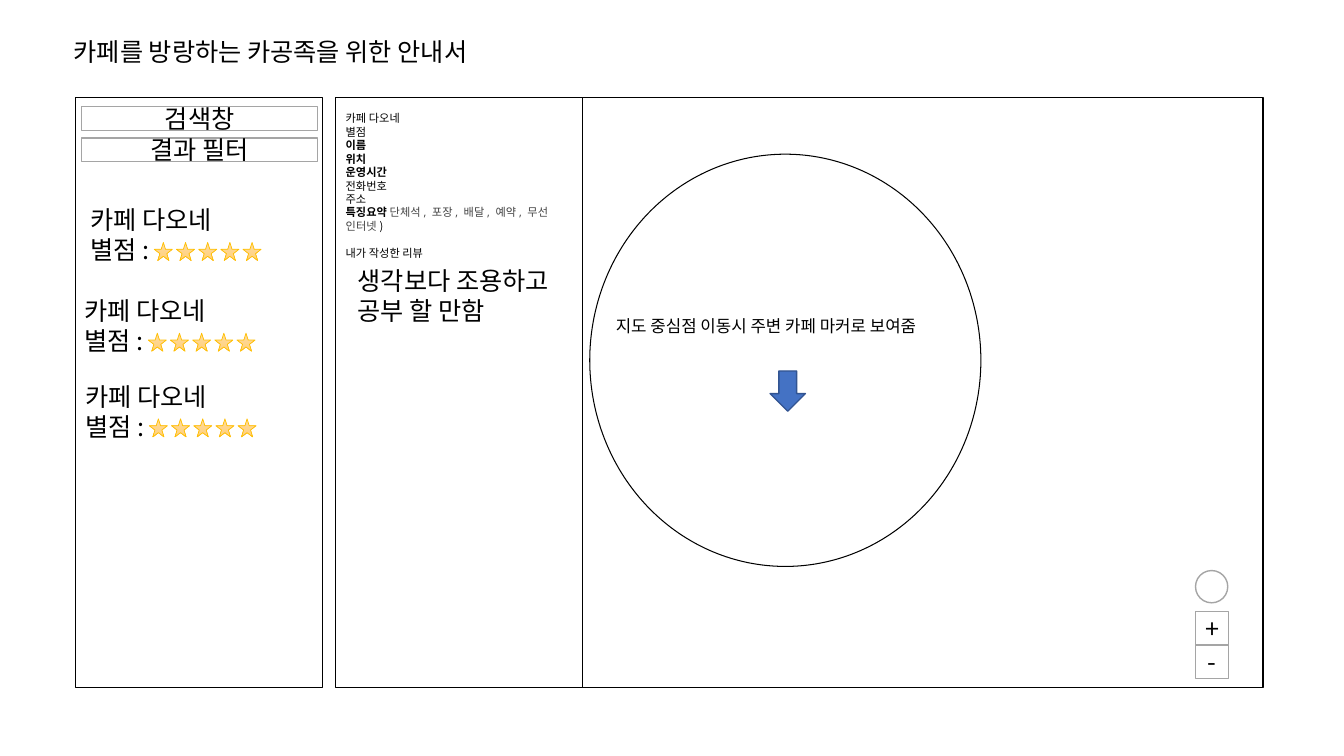
from pptx import Presentation
from pptx.dml.color import RGBColor
from pptx.enum.shapes import MSO_SHAPE
from pptx.enum.text import MSO_ANCHOR, MSO_AUTO_SIZE, PP_ALIGN
from pptx.oxml.ns import qn
from pptx.util import Inches, Pt
from lxml import etree

RECT, OVAL = MSO_SHAPE.RECTANGLE, MSO_SHAPE.OVAL
STAR, ARROW = MSO_SHAPE.STAR_5_POINT, MSO_SHAPE.DOWN_ARROW
TOP, MIDDLE = MSO_ANCHOR.TOP, MSO_ANCHOR.MIDDLE
LEFT, CENTER = PP_ALIGN.LEFT, PP_ALIGN.CENTER
FIXED = MSO_AUTO_SIZE.NONE

BLACK = RGBColor(0x00, 0x00, 0x00)
WHITE = RGBColor(0xFF, 0xFF, 0xFF)
GRAY = RGBColor(0xA5, 0xA5, 0xA5)
DARK_GRAY = RGBColor(0x42, 0x42, 0x42)
BLUE = RGBColor(0x44, 0x72, 0xC4)
NAVY = RGBColor(0x32, 0x54, 0x91)
GOLD = RGBColor(0xFF, 0xC0, 0x00)
PALE_GOLD = RGBColor(0xFF, 0xDB, 0x9E)
WARM_GOLD = RGBColor(0xFF, 0xD0, 0x7C)
KOREAN, LATIN = "Noto Sans CJK KR", "Open Sans"

deck = Presentation()
deck.slide_width, deck.slide_height = Inches(13.33), Inches(7.5)
COL, ROW = deck.slide_width / 100, deck.slide_height / 100
slide = deck.slides.add_slide(deck.slide_layouts[5])


def draw(shapes, kind, x, y, w, h, fill, line, weight=1):
    box = [int(v) for v in (x * COL, y * ROW, w * COL, h * ROW)]
    item = shapes.add_shape(kind, *box)
    item.shadow.inherit = False
    if fill:
        item.fill.solid()
        item.fill.fore_color.rgb = fill
    else:
        item.fill.background()
    item.line.color.rgb = line
    item.line.width = Pt(weight)
    return item


def write(holder, paragraphs, size, x=None, y=None, w=None, h=None, anchor=TOP, align=LEFT):
    if x is not None:
        holder.left, holder.top = int(x * COL), int(y * ROW)
        holder.width, holder.height = int(w * COL), int(h * ROW)
    frame = holder.text_frame
    frame.word_wrap = True
    frame.auto_size = FIXED
    frame.vertical_anchor = anchor
    for number, runs in enumerate(paragraphs):
        paragraph = frame.add_paragraph() if number else frame.paragraphs[0]
        paragraph.alignment = align
        for text, bold, font, color in runs:
            run = paragraph.add_run()
            run.text = text
            run.font.size, run.font.bold = Pt(size), bold
            run.font.name, run.font.color.rgb = font, color
            etree.SubElement(run.font._element, qn("a:ea")).set("typeface", font)


page = slide.shapes
PLAIN = (False, KOREAN, BLACK)
STRONG = (True, KOREAN, BLACK)
PANEL_TOP, PANEL_HEIGHT, PANEL_WIDTH = 12.93, 78, 18.38
CARD_WIDTH, CARD_HEIGHT = 17.55, 9.47

for left, width in ((25.13, 68.85), (5.63, PANEL_WIDTH), (24.98, PANEL_WIDTH)):
    draw(page, RECT, left, PANEL_TOP, width, PANEL_HEIGHT, WHITE, BLACK)

write(page.title, [[("카페를 방랑하는 카공족을 위한 안내서", *PLAIN)]], 18, 4.73, 4.13, 67.28, 5.33)

draw(page, ARROW, 57.3, 49.07, 2.63, 5.33, BLUE, NAVY)
map_note = page.add_textbox(0, 0, 0, 0)
write(map_note, [[("지도 중심점 이동시 주변 카페 마커로 보여줌", *PLAIN)]], 12, 45.08, 41.07, 26.93, 4)

for left, top in ((6, 26.4), (5.55, 38.4), (5.63, 49.73)):
    card = page.add_group_shape().shapes
    cafe = card.add_textbox(0, 0, 0, 0)
    write(cafe, [[("카페 다오네", *PLAIN)], [("별점:", *PLAIN)]], 18, left, top, CARD_WIDTH, CARD_HEIGHT)
    for rating in range(5):
        star = draw(card, STAR, left + 5.48 + 1.65 * rating, top + 5.67, 1.35, 2.4, WHITE, GOLD, 0.5)
        star.fill.gradient()
        star.fill.gradient_angle = 270
        for stop, color in zip(star.fill.gradient_stops, (PALE_GOLD, WARM_GOLD)):
            stop.color.rgb = color

draw(page, OVAL, 88.95, 75.47, 2.4, 4.27, WHITE, GRAY)
for row, sign in enumerate("+-"):
    zoom = draw(page, RECT, 88.95, 80.93 + 4.4 * row, 2.48, 4.4, WHITE, GRAY)
    write(zoom, [[(sign, *PLAIN)]], 18, anchor=MIDDLE, align=CENTER)
for row, label in enumerate(("검색창", "결과 필터")):
    field = draw(page, RECT, 6.08, 14.13 + 4.13 * row, CARD_WIDTH, 3.13, WHITE, GRAY)
    write(field, [[(label, *PLAIN)]], 18, anchor=MIDDLE, align=CENTER)

details = page.add_textbox(0, 0, 0, 0)
write(details, [
    [("카페 다오네", *PLAIN)],
    [("별점", *PLAIN)],
    [("이름", *STRONG)],
    [("위치", *STRONG)],
    [("운영시간", *STRONG)],
    [("전화번호", *PLAIN)],
    [("주소", *PLAIN)],
    [("특징요약 ", *STRONG),
     ("단체석, 포장, 배달, 예약, 무선 인터넷", False, LATIN, DARK_GRAY),
     (")", *PLAIN)],
    [("내가 작성한 리뷰", *PLAIN)],
], 8, 24.98, 14.13, PANEL_WIDTH, 21.07)
details.text_frame.paragraphs[-1].space_before = Pt(9.6)

draw(page, OVAL, 43.88, 20.4, 29.1, 54.53, None, BLACK, 0.75)
review = page.add_textbox(0, 0, 0, 0)
write(review, [[("생각보다 조용하고 공부 할 만함", *PLAIN)]], 18, 25.88, 34.4, 16.43, CARD_HEIGHT)

deck.save("out.pptx")
